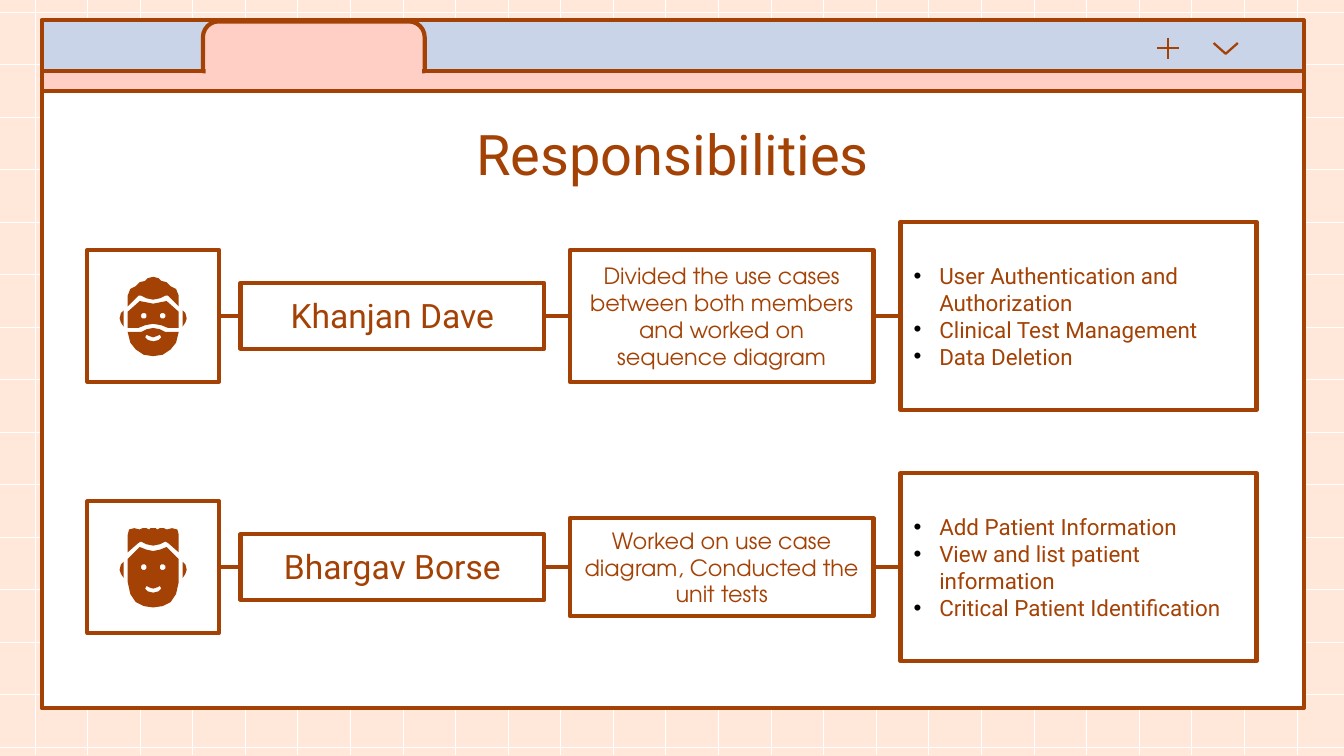
"""Build the Responsibilities slide: a browser window with two rows of team members."""
from pptx import Presentation
from pptx.dml.color import RGBColor
from pptx.enum.shapes import MSO_CONNECTOR, MSO_SHAPE
from pptx.enum.text import MSO_ANCHOR, PP_ALIGN
from pptx.oxml.ns import qn
from pptx.util import Inches, Pt
from lxml.etree import SubElement

BROWN, WHITE, PINK, BLUE = "A44205", "FFFFFF", "FFCFC6", "CAD4E9"
RECT = MSO_SHAPE.RECTANGLE
hue = RGBColor.from_string

deck = Presentation()
deck.slide_width, deck.slide_height = Inches(10), Inches(10) * 9 // 16
slide = deck.slides.add_slide(deck.slide_layouts[5])
slide.background.fill.solid()
slide.background.fill.fore_color.rgb = hue("FFE8DA")
shapes = slide.shapes


def draw(kind, *spots, fill=None, edge=BROWN, width=2.25):
    if kind == "line":
        ends = [Inches(n) for n in spots]
        item = shapes.add_connector(MSO_CONNECTOR.STRAIGHT, *ends)
        SubElement(item._element.spPr, qn("a:effectLst"))
    else:
        if kind == "path":
            rings = [[(Inches(x), Inches(y)) for x, y in ring] for ring in spots]
            pen = shapes.build_freeform(*rings[0][0], scale=1.0)
            for ring in rings:
                if ring is not rings[0]:
                    pen.move_to(*ring[0])
                pen.add_line_segments(ring[1:], close=fill is not None)
            item = pen.convert_to_shape()
        else:
            item = shapes.add_shape(kind, *[Inches(n) for n in spots])
        item.shadow.inherit = False
        if fill:
            item.fill.solid()
            item.fill.fore_color.rgb = hue(fill)
        else:
            item.fill.background()
    if edge:
        item.line.color.rgb = hue(edge)
        item.line.width = Pt(width)
    else:
        item.line.fill.background()
    return item


def write(item, *lines, size=12, font="Roboto", align=PP_ALIGN.CENTER,
          anchor=MSO_ANCHOR.MIDDLE, bullet=False):
    frame = item.text_frame
    frame.word_wrap = True
    frame.vertical_anchor = anchor
    frame.margin_left = frame.margin_right = Inches(0.1)
    frame.margin_top = frame.margin_bottom = Inches(0.1)
    frame.text = "\n".join(lines)
    for para in frame.paragraphs:
        para.alignment = align
        face = para.runs[0].font
        face.size, face.name = Pt(size), font
        face.color.rgb = hue(BROWN)
        if bullet:
            props = para._p.get_or_add_pPr()
            props.set("marL", str(Inches(0.19)))
            props.set("indent", str(-Inches(0.19)))
            tint = SubElement(props, qn("a:buClr"))
            SubElement(tint, qn("a:srgbClr"), val="000000")
            SubElement(props, qn("a:buFont"), typeface="Arial")
            SubElement(props, qn("a:buChar"), char="•")


for i in range(25):
    x = 0.26 + i * 9.39 / 24
    draw("line", x, 0, x, 5.62, edge=WHITE, width=0.45)
for i in range(15):
    y = 0.09 + i * 5.47 / 14
    draw("line", 0, y, 10, y, edge=WHITE, width=0.45)

for top, high, fill in [(0.68, 4.59, WHITE), (0.15, 0.38, BLUE), (0.53, 0.15, PINK)]:
    draw(RECT, 0.31, top, 9.39, high, fill=fill)
draw("path", [(9.03, 0.32), (9.12, 0.4), (9.21, 0.32)], width=1.21)
draw("line", 8.69, 0.28, 8.69, 0.44, width=1.21)
draw("line", 8.61, 0.36, 8.77, 0.36, width=1.21)
tab = draw(MSO_SHAPE.ROUND_2_SAME_RECTANGLE, 1.51, 0.16, 1.65, 0.37, fill=PINK)
tab.adjustments[0] = 0.317
draw(RECT, 1.53, 0.41, 1.61, 0.15, fill=PINK, edge=None)

title = shapes.title
title.left, title.top = Inches(0.79), Inches(0.79)
title.width, title.height = Inches(8.43), Inches(0.63)
write(title, "Responsibilities", size=30, anchor=MSO_ANCHOR.TOP)
shapes._spTree.append(title._element)

ear = [(-0.22, -0.04), (-0.24, -0.02), (-0.25, 0.02), (-0.24, 0.05), (-0.22, 0.08)]
eye = [(-0.08, -0.02), (-0.06, -0.02), (-0.05, -0.01), (-0.05, 0.01),
       (-0.06, 0.02), (-0.08, 0.02), (-0.09, 0.01), (-0.09, -0.01)]
eyes = [eye, [(-x, y) for x, y in eye]]
smile = [(0, 0.16), (-0.03, 0.15), (-0.05, 0.14), (-0.06, 0.16), (-0.04, 0.18), (0, 0.19)]
mouth = smile + [(-x, y) for x, y in smile[-2:0:-1]]
curls = [(0, -0.29), (-0.04, -0.28), (-0.06, -0.26), (-0.1, -0.25), (-0.13, -0.22),
         (-0.17, -0.2), (-0.19, -0.15), (-0.19, -0.07), (-0.11, -0.15), (-0.09, -0.15),
         (-0.05, -0.13), (0, -0.12)]
brow = [(0, -0.09), (-0.05, -0.1), (-0.1, -0.11), (-0.19, -0.03), (-0.19, 0.09),
        (-0.11, 0.09), (-0.06, 0.07), (0, 0.06)]
beard = [(0, 0.09), (-0.05, 0.1), (-0.09, 0.12), (-0.19, 0.12), (-0.17, 0.2),
         (-0.13, 0.25), (-0.07, 0.29), (0, 0.3)]
crop = [(0, -0.29), (-0.02, -0.29), (-0.03, -0.28), (-0.05, -0.29), (-0.08, -0.29),
        (-0.1, -0.28), (-0.14, -0.29), (-0.18, -0.28), (-0.19, -0.24), (-0.19, -0.11),
        (-0.11, -0.18), (-0.09, -0.19), (-0.05, -0.17), (0, -0.16)]
cheeks = [(0, -0.12), (-0.05, -0.13), (-0.1, -0.15), (-0.19, -0.06), (-0.19, 0.11),
          (-0.17, 0.2), (-0.13, 0.26), (-0.07, 0.29), (0, 0.3)]

rows = [
    (2.35, "Khanjan Dave", 0.98,
     "Divided the use cases between both members and worked on sequence diagram",
     ["User Authentication and Authorization", "Clinical Test Management", "Data Deletion"],
     [(curls, []), (brow, eyes), (beard, [mouth])]),
    (4.22, "Bhargav Borse", 0.73, "Worked on use case diagram, Conducted the unit tests",
     ["Add Patient Information", "View and list patient information",
      "Critical Patient Identification"],
     [(crop, []), (cheeks, eyes + [mouth])]),
]
for mid, name, high, task, duties, parts in rows:
    draw(RECT, 0.65, mid - 0.49, 0.98, 0.98)
    for left, right in [(1.63, 1.79), (4.05, 4.24), (6.5, 6.7)]:
        draw("line", left, mid, right, mid)
    write(draw(RECT, 1.79, mid - 0.49 / 2, 2.26, 0.49), name, size=18,
          anchor=MSO_ANCHOR.BOTTOM)
    write(draw(RECT, 4.24, mid - high / 2, 2.26, high), task, font="TeX Gyre Adventor")
    write(draw(RECT, 6.7, mid - 0.7, 2.65, 1.4), *duties, align=PP_ALIGN.LEFT, bullet=True)

    faces = [[half + [(-x, y) for x, y in half[-2:0:-1]]] + holes for half, holes in parts]
    faces += [[ear], [[(-x, y) for x, y in ear]]]
    for rings in faces:
        draw("path", *[[(1.14 + x, mid + y) for x, y in ring] for ring in rings],
             fill=BROWN, edge=None)

deck.save("out.pptx")
